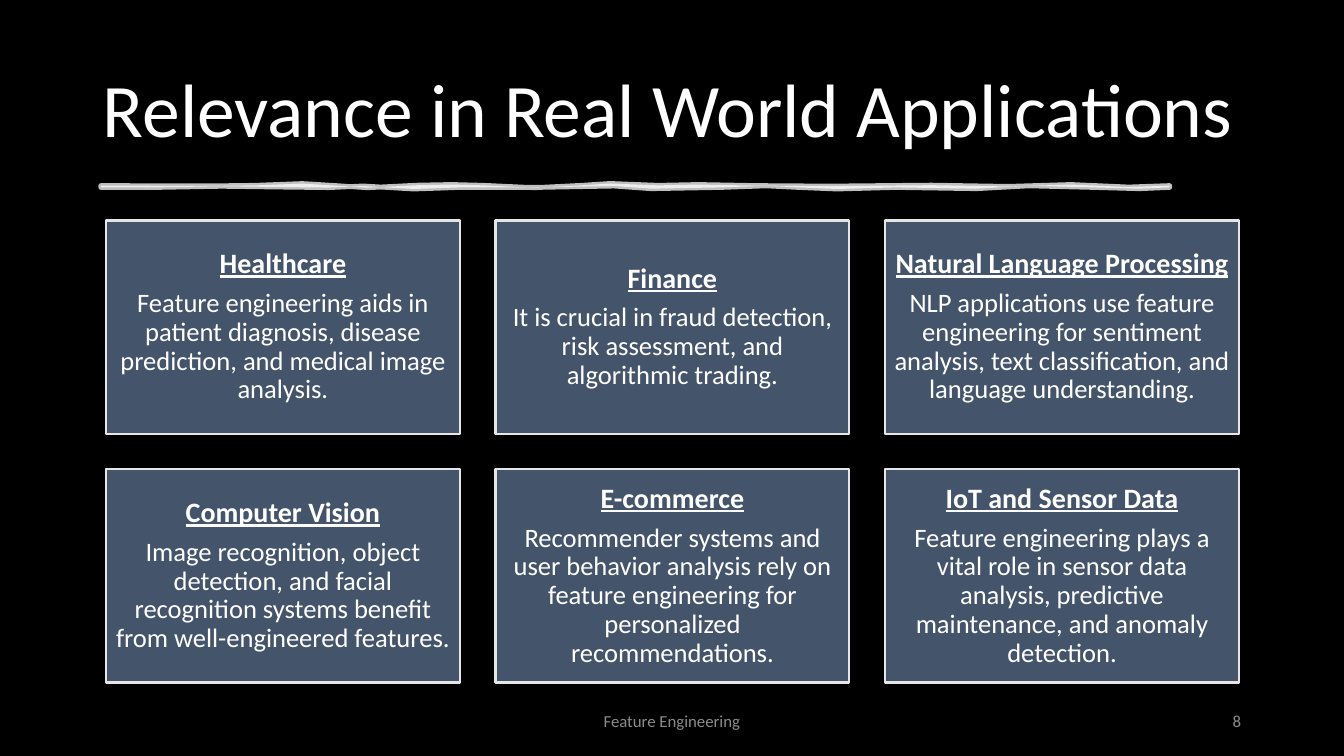
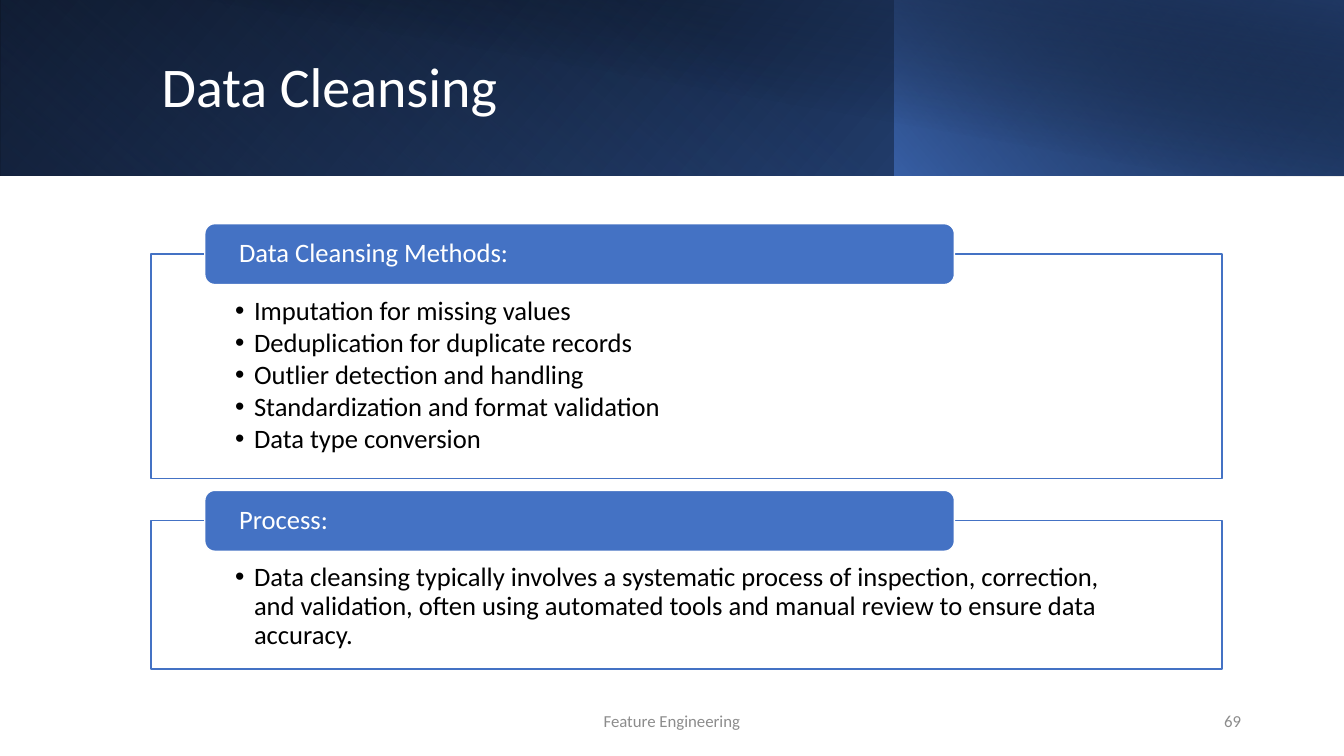
from dataclasses import dataclass

import pptx
import pptx.dml.color
import pptx.enum.shapes
import pptx.enum.text
import pptx.oxml.ns
import pptx.util
from lxml import etree

PX = 9525  # EMU in one px, 1280 x 720 px on a slide
ALIGN = pptx.enum.text.PP_ALIGN
ANCHOR = pptx.enum.text.MSO_ANCHOR
SHAPE = pptx.enum.shapes.MSO_SHAPE
qn = pptx.oxml.ns.qn


@dataclass(frozen=True)
class Theme:
    font: str = "Calibri"
    white: str = "FFFFFF"
    black: str = "000000"
    slate: str = "44546A"
    pale: str = "E7E6E6"
    blue: str = "4472C4"
    deep_blue: str = "2F5597"
    navy: str = "203864"
    grey: str = "8C8C8C"
    big_title: float = 54
    title: float = 40
    heading: float = 20
    body: float = 19
    footer: float = 12


THEME = Theme()

CARDS = (
    ("Healthcare", "Feature engineering aids in patient diagnosis, disease "
     "prediction, and medical image analysis."),
    ("Finance", "It is crucial in fraud detection, risk assessment, and "
     "algorithmic trading."),
    ("Natural Language Processing", "NLP applications use feature engineering "
     "for sentiment analysis, text classification, and language understanding."),
    ("Computer Vision", "Image recognition, object detection, and facial "
     "recognition systems benefit from well-engineered features."),
    ("E-commerce", "Recommender systems and user behavior analysis rely on "
     "feature engineering for personalized recommendations."),
    ("IoT and Sensor Data", "Feature engineering plays a vital role in sensor "
     "data analysis, predictive maintenance, and anomaly detection."),
)

# Heading, height of the frame, bullets
PANELS = (
    ("Data Cleansing Methods:", 214, (
        "Imputation for missing values",
        "Deduplication for duplicate records",
        "Outlier detection and handling",
        "Standardization and format validation",
        "Data type conversion")),
    ("Process:", 141, (
        "Data cleansing typically involves a systematic process of inspection, "
        "correction, and validation, often using automated tools and manual "
        "review to ensure data accuracy.",)),
)

# Place, rotation, mirrored, angle, then (position %, colour, opacity %)
BANDS = (
    ((0, 0, 1280, 167), 0, True, 140,
     ((0, THEME.black, 100), (100, THEME.deep_blue, 100))),
    ((0, 0, 852, 167), 180, True, 230,
     ((20, THEME.blue, 0), (100, THEME.navy, 55))),
    ((852, 0, 428, 167), 0, True, 220,
     ((0, THEME.blue, 66), (100, THEME.black, 30))),
    ((48, 0, 1232, 168), 0, False, 280,
     ((50, THEME.black, 0), (99, THEME.navy, 52))),
)

# Edges of the brush stroke: x in px, y in tenths of a px
STROKE_TOP = ((96, 1768), (200, 1771), (243, 1766), (288, 1749), (316, 1766),
              (350, 1788), (398, 1764), (430, 1758), (461, 1766), (509, 1788),
              (554, 1766), (581, 1748), (627, 1766), (665, 1758), (720, 1768),
              (790, 1773), (887, 1764), (960, 1776), (1020, 1758),
              (1075, 1782), (1114, 1768))
STROKE_BOTTOM = ((1114, 1785), (1085, 1797), (1041, 1785), (980, 1770),
                 (930, 1797), (853, 1785), (797, 1800), (760, 1785),
                 (730, 1770), (687, 1785), (620, 1797), (585, 1772),
                 (511, 1785), (438, 1785), (394, 1800), (346, 1772),
                 (313, 1787), (271, 1782), (211, 1774), (150, 1785),
                 (96, 1785))


# Colour and shape helpers

def rgb(colour):
    return pptx.dml.color.RGBColor.from_string(colour)


def set_opacity(shape, opacities):
    """Give the colours of a shape, in document order, their opacity in %."""
    colours = shape._element.spPr.iter(qn("a:srgbClr"))
    for colour, opacity in zip(colours, opacities):
        etree.SubElement(colour, qn("a:alpha"), val=str(opacity * 1000))


def paint(shape, fill, line=None, width=1):
    shape.shadow.inherit = False
    shape.fill.solid()
    shape.fill.fore_color.rgb = rgb(fill)
    if line is None:
        shape.line.fill.background()
    else:
        shape.line.color.rgb = rgb(line)
        shape.line.width = pptx.util.Pt(width)


def add_box(page, place, fill, line, width=1, kind=SHAPE.RECTANGLE):
    box = page.shapes.add_shape(kind, *(length * PX for length in place))
    paint(box, fill, line, width)
    return box


def add_gradient_band(page, place, rotation, mirrored, angle, stops):
    band = add_box(page, place, THEME.black, None)
    band.rotation = rotation
    if mirrored:
        band._element.spPr.find(qn("a:xfrm")).set("flipH", "1")
    band.fill.gradient()
    band.fill.gradient_angle = 360 - angle
    for stop, (position, colour, _) in zip(band.fill.gradient_stops, stops):
        stop.position = position / 100
        stop.color.rgb = rgb(colour)
    set_opacity(band, [opacity for _, _, opacity in stops])


# Text helpers

def prepare_text(box, insets=(10, 5, 10, 5), anchor=ANCHOR.MIDDLE):
    frame = box.text_frame
    frame.word_wrap = True
    frame.vertical_anchor = anchor
    (frame.margin_left, frame.margin_top,
     frame.margin_right, frame.margin_bottom) = (gap * PX for gap in insets)
    return frame


def add_para(frame, text, size, colour, align=ALIGN.LEFT, spacing=0.9,
             after=0, strong=False, bullet=False):
    first = frame.paragraphs[0]
    para = frame.add_paragraph() if first.runs else first
    para.alignment = align
    para.line_spacing = spacing
    para.space_after = pptx.util.Pt(after)
    if bullet:
        settings = para._p.get_or_add_pPr()
        settings.set("marL", str(18 * PX))
        settings.set("indent", str(-18 * PX))
        etree.SubElement(settings, qn("a:buFont"), typeface="Arial")
        etree.SubElement(settings, qn("a:buChar"), char="•")
    span = para.add_run()
    span.text = text
    span.font.name = THEME.font
    span.font.size = pptx.util.Pt(size)
    span.font.color.rgb = rgb(colour)
    span.font.bold = strong
    span.font.underline = strong


def add_label(page, place, text, size, colour, **options):
    box = page.shapes.add_textbox(*(length * PX for length in place))
    add_para(prepare_text(box), text, size, colour, **options)


def add_footer(page, number):
    style = dict(size=THEME.footer, colour=THEME.grey, spacing=1.0)
    add_label(page, (424, 667, 432, 38), "Feature Engineering",
              align=ALIGN.CENTER, **style)
    add_label(page, (904, 667, 288, 38), number, align=ALIGN.RIGHT, **style)


# Content elements

def add_brush_stroke(page):
    points = [(x * 10, y) for x, y in STROKE_TOP + STROKE_BOTTOM]
    builder = page.shapes.build_freeform(*points[0], scale=PX / 10)
    builder.add_line_segments(points[1:], close=True)
    stroke = builder.convert_to_shape()
    paint(stroke, THEME.white, THEME.white, 3.5)
    set_opacity(stroke, (75, 75))


def add_card(page, place, heading, text):
    card = add_box(page, place, THEME.slate, THEME.pale, 1.5)
    frame = prepare_text(card, (8, 8, 8, 8))
    style = dict(colour=THEME.white, align=ALIGN.CENTER, after=7)
    add_para(frame, heading, THEME.heading, strong=True, **style)
    add_para(frame, text, THEME.body, **style)


def add_panel(page, top, height, heading, bullets):
    panel = add_box(page, (144, top, 1020, height), THEME.white, THEME.blue)
    frame = prepare_text(panel, (80, 41, 80, 14), ANCHOR.TOP)
    for text in bullets:
        add_para(frame, text, THEME.body, THEME.black, after=2.5, bullet=True)
    tab = add_box(page, (195, top - 29, 714, 58), THEME.blue, THEME.white,
                  kind=SHAPE.ROUNDED_RECTANGLE)
    add_para(prepare_text(tab, (30, 3, 30, 3)), heading, THEME.body,
             THEME.white, after=7)


# Slides

def build_applications(page):
    page.background.fill.solid()
    page.background.fill.fore_color.rgb = rgb(THEME.black)
    add_label(page, (88, 38, 1104, 139), "Relevance in Real World Applications",
              THEME.big_title, THEME.white)
    add_brush_stroke(page)
    width, height, gap = 337, 203, 34
    for index, (heading, text) in enumerate(CARDS):
        row, column = divmod(index, 3)
        place = (101 + column * (width + gap), 210 + row * (height + gap),
                 width, height)
        add_card(page, place, heading, text)
    add_footer(page, "8")


def build_cleansing(page):
    for band in BANDS:
        add_gradient_band(page, *band)
    add_label(page, (144, 31, 1039, 108), "Data Cleansing",
              THEME.title, THEME.white)
    top = 242
    for heading, height, bullets in PANELS:
        add_panel(page, top, height, heading, bullets)
        top += height + 40
    add_footer(page, "69")


def main():
    deck = pptx.Presentation()
    deck.slide_width, deck.slide_height = 1280 * PX, 720 * PX
    for build in (build_applications, build_cleansing):
        build(deck.slides.add_slide(deck.slide_layouts[6]))
    deck.save("out.pptx")


if __name__ == "__main__":
    main()
